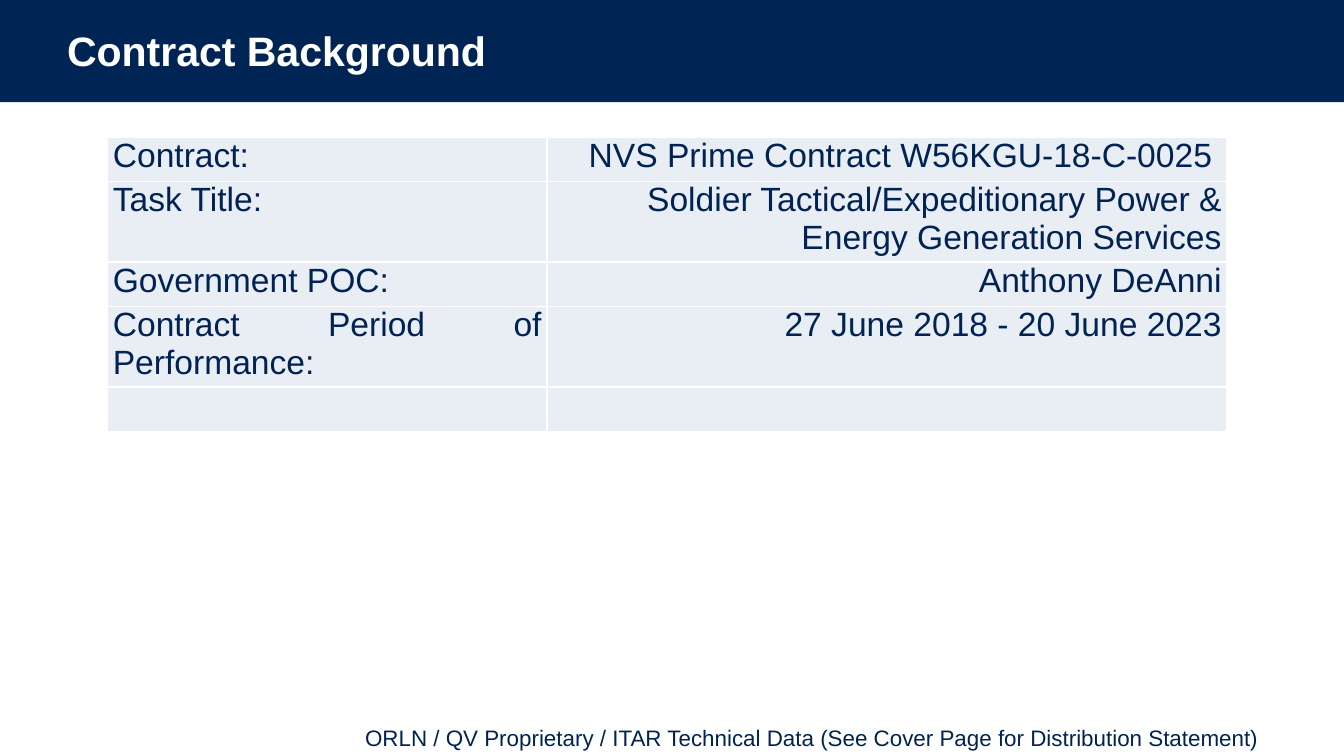
from lxml import etree
from pptx import Presentation
from pptx.dml.color import RGBColor
from pptx.enum.shapes import MSO_SHAPE as Shape
from pptx.enum.text import MSO_ANCHOR as Anchor, PP_ALIGN as Align
from pptx.oxml.ns import qn
from pptx.util import Inches, Pt

COLORS = {"banner": "002554", "text": "002354", "cell": "E9EDF4", "white": "FFFFFF"}
FONT = "Arial"

TITLE = "Contract Background"
FOOTER = "ORLN / QV Proprietary / ITAR Technical Data (See Cover Page for Distribution Statement)"
ROWS = [
    ("Contract:", "NVS Prime Contract W56KGU-18-C-0025 "),
    ("Task Title:", "Soldier Tactical/Expeditionary Power & Energy Generation Services"),
    ("Government POC:", "Anthony DeAnni"),
    ("Contract Period of Performance:", "27 June 2018 - 20 June 2023"),
    ("", ""),
]
COLUMN_WIDTHS = (3.27, 5.06)
COLUMN_ALIGNS = (Align.JUSTIFY, Align.RIGHT)
ROW_HEIGHT = 0.33
TABLE_HEIGHT = 2.2  # leaves room for the rows that wrap


def color(name):
    return RGBColor.from_string(COLORS[name])


def write(para, text, size, ink, align, bold=False):
    if text:
        para.add_run().text = text
    para.alignment = align
    font = para.font
    font.name, font.size, font.bold = FONT, Pt(size), bold
    font.color.rgb = color(ink)


def add_text(page, place, text, size, ink, align, side_inset, bold=False):
    box = page.shapes.add_textbox(*map(Inches, place))
    frame = box.text_frame
    frame.word_wrap = True
    frame.vertical_anchor = Anchor.MIDDLE
    frame.margin_left = frame.margin_right = Inches(side_inset)
    frame.margin_top = frame.margin_bottom = Inches(0.05)
    write(frame.paragraphs[0], text, size, ink, align, bold)


def add_borders(cell):
    properties = cell._tc.get_or_add_tcPr()
    for side in ("lnL", "lnR", "lnT", "lnB"):
        line = etree.SubElement(properties, qn(f"a:{side}"), w=str(Pt(1)))
        fill = etree.SubElement(line, qn("a:solidFill"))
        etree.SubElement(fill, qn("a:srgbClr"), val=COLORS["white"])


def add_contract_table(page):
    holder = page.shapes.add_table(
        len(ROWS), len(COLUMN_WIDTHS), Inches(0.8), Inches(1.02),
        Inches(sum(COLUMN_WIDTHS)), Inches(TABLE_HEIGHT))
    table = holder.table
    table.first_row = table.horz_banding = False
    for column, width in zip(table.columns, COLUMN_WIDTHS):
        column.width = Inches(width)
    for row, texts in zip(table.rows, ROWS):
        row.height = Inches(ROW_HEIGHT)
        for cell, text, align in zip(row.cells, texts, COLUMN_ALIGNS):
            cell.margin_left = cell.margin_right = Inches(0.04)
            cell.margin_top = cell.margin_bottom = 0
            add_borders(cell)
            cell.fill.solid()
            cell.fill.fore_color.rgb = color("cell")
            write(cell.text_frame.paragraphs[0], text, 18, "text", align)
    holder.height = Inches(TABLE_HEIGHT)


def main():
    deck = Presentation()
    deck.slide_width = Inches(10)
    deck.slide_height = deck.slide_width * 9 // 16
    page = deck.slides.add_slide(deck.slide_layouts[6])

    banner = page.shapes.add_shape(Shape.RECTANGLE, 0, 0, deck.slide_width, Inches(0.76))
    banner.shadow.inherit = False
    banner.fill.solid()
    banner.fill.fore_color.rgb = color("banner")
    banner.line.fill.background()

    add_text(page, (0, 0, 10, 0.75), TITLE, 22, "white", Align.LEFT, 0.5, bold=True)
    add_contract_table(page)
    add_text(page, (2.11, 5.35, 7.31, 0.28), FOOTER, 12, "text", Align.RIGHT, 0.05)
    deck.save("out.pptx")


if __name__ == "__main__":
    main()
